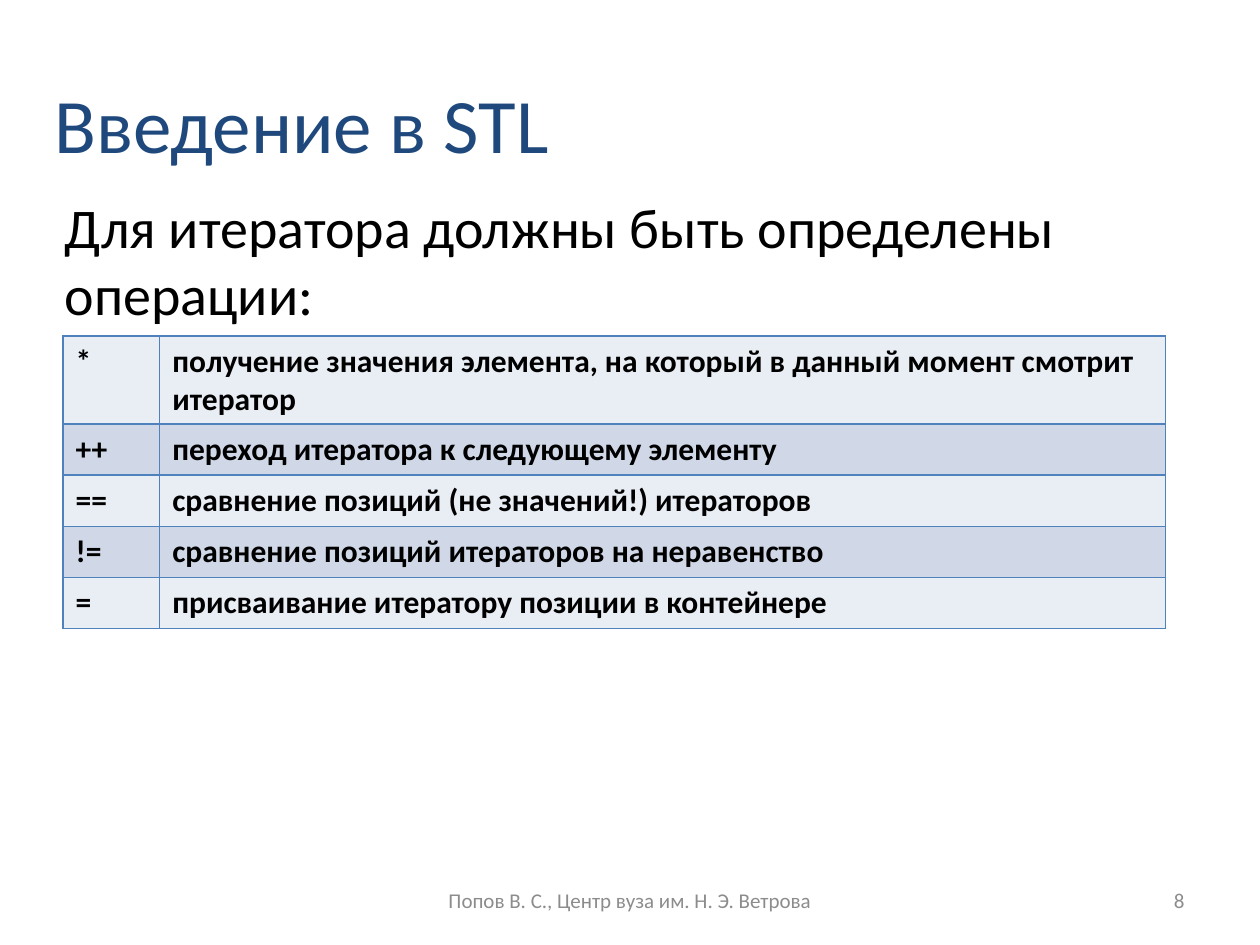
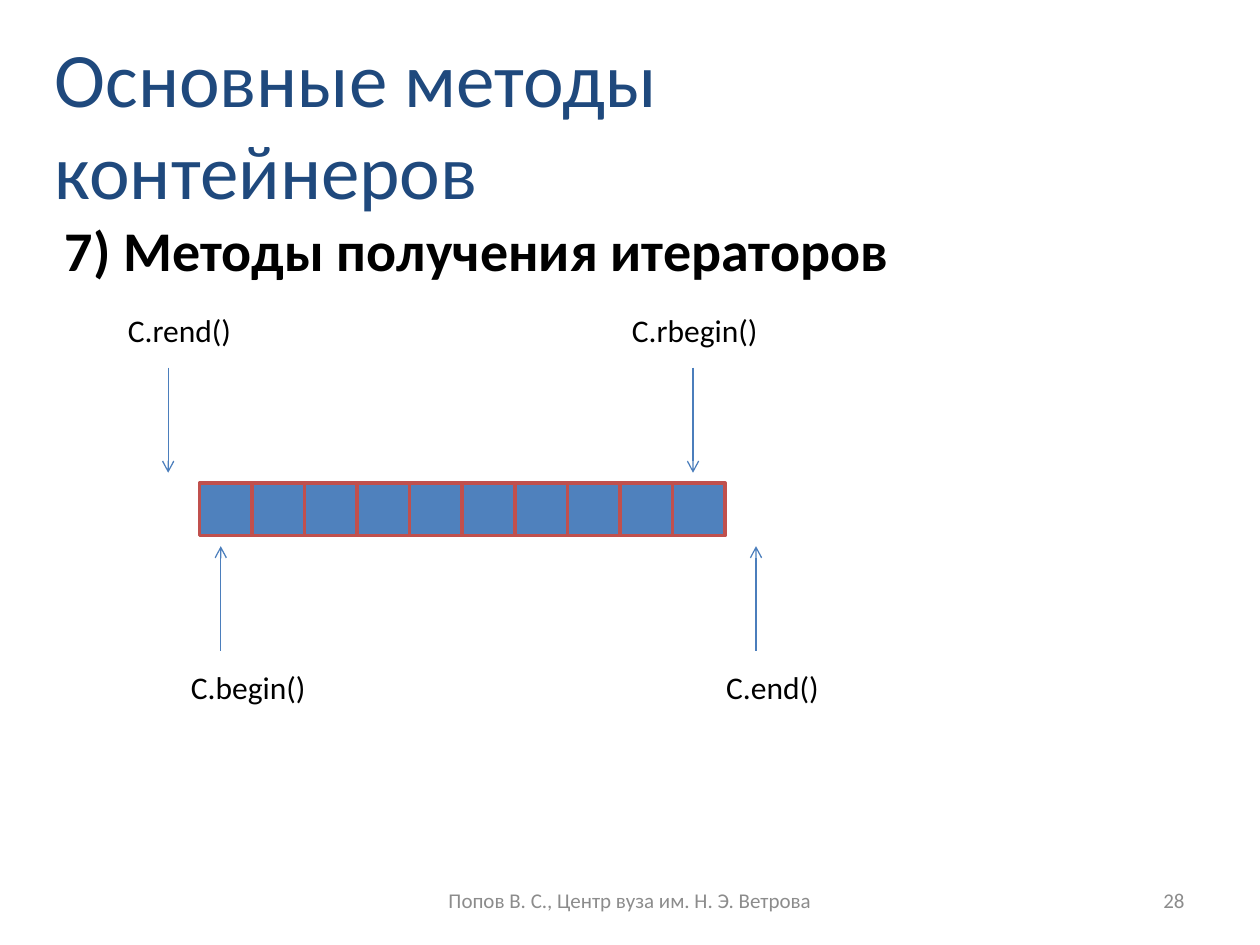
from dataclasses import dataclass

from lxml import etree
from pptx import Presentation
from pptx.dml.color import RGBColor
from pptx.enum.shapes import MSO_CONNECTOR, MSO_SHAPE
from pptx.enum.text import MSO_ANCHOR, PP_ALIGN
from pptx.oxml.ns import qn
from pptx.slide import Slide
from pptx.util import Cm, Pt

LEFT, CENTER, RIGHT = PP_ALIGN.LEFT, PP_ALIGN.CENTER, PP_ALIGN.RIGHT
TOP, MIDDLE = MSO_ANCHOR.TOP, MSO_ANCHOR.MIDDLE
RECTANGLE, STRAIGHT = MSO_SHAPE.RECTANGLE, MSO_CONNECTOR.STRAIGHT
TITLE_ONLY = 5

COLORS = {
    "title": "1F497D",
    "text": "000000",
    "footer": "8C8C8C",
    "blue": "4F81BD",
    "arrow": "4B7EBC",
    "red": "C0504D",
    "row_light": "E9EDF4",
    "row_dark": "D0D8E8",
}
FORMATS = {
    "title": {"size": Pt(44), "bold": False},
    "lead": {"size": Pt(32), "bold": False},
    "lead_bold": {"size": Pt(32), "bold": True},
    "label": {"size": Pt(18), "bold": False},
    "cell": {"size": Pt(18), "bold": True},
    "footer": {"size": Pt(12), "bold": False},
}
FOOTER = "Попов В. С., Центр вуза им. Н. Э. Ветрова"

OPERATIONS = [
    ("*", "получение значения элемента, на который в данный момент смотрит итератор"),
    ("++", "переход итератора к следующему элементу"),
    ("==", "сравнение позиций (не значений!) итераторов"),
    ("!=", "сравнение позиций итераторов на неравенство"),
    ("=", "присваивание итератору позиции в контейнере"),
]
COLUMN_WIDTHS = (1.95, 20.27)
FIRST_ROW_HEIGHT, ROW_HEIGHT = 1.78, 1.03

CELL_COUNT, CELL_SIDE = 10, 1.06
CELLS_LEFT, CELLS_TOP = 4.02, 9.74


@dataclass(frozen=True)
class Area:
    """Left, top, width and height in centimetres."""
    left: float
    top: float
    width: float
    height: float

    def lengths(self) -> list[Cm]:
        return [Cm(v) for v in (self.left, self.top, self.width, self.height)]


@dataclass(frozen=True)
class IteratorMark:
    method: str
    label: Area
    arrow_x: float
    arrow_from: float
    arrow_to: float


TITLE_AREA = Area(0.85, 0.42, 20.74, 4.1)
FOOTER_AREA = Area(8.68, 17.65, 8.04, 1.01)
NUMBER_AREA = Area(18.2, 17.65, 5.93, 1.01)

ABOVE = {"arrow_from": 7.41, "arrow_to": 9.53}
BELOW = {"arrow_from": 13.12, "arrow_to": 11.01}
MARKS = [
    IteratorMark("C.end()", Area(14.39, 13.34, 2.54, 1.03), 15.24, **BELOW),
    IteratorMark("C.begin()", Area(3.6, 13.34, 2.96, 1.03), 4.45, **BELOW),
    IteratorMark("C.rbegin()", Area(12.49, 6.14, 3.39, 1.03), 13.97, **ABOVE),
    IteratorMark("C.rend()", Area(2.33, 6.14, 2.75, 1.03), 3.39, **ABOVE),
]


def rgb(name: str) -> RGBColor:
    return RGBColor.from_string(COLORS[name])


def write(frame, text: str, style: str, color: str = "text", align=LEFT) -> None:
    para = frame.paragraphs[0]
    para.alignment = align
    span = para.add_run()
    span.text = text
    span.font.name = "Calibri"
    span.font.color.rgb = rgb(color)
    for attribute, value in FORMATS[style].items():
        setattr(span.font, attribute, value)


def add_text(page: Slide, area: Area, text: str, style: str,
             color: str = "text", align=LEFT, anchor=TOP) -> None:
    frame = page.shapes.add_textbox(*area.lengths()).text_frame
    frame.word_wrap = True
    frame.vertical_anchor = anchor
    write(frame, text, style, color, align)


def add_page(deck, title: str, number: int) -> Slide:
    """Add a slide with its title, footer and slide number."""
    page = deck.slides.add_slide(deck.slide_layouts[TITLE_ONLY])
    heading = page.shapes.title
    heading.left, heading.top, heading.width, heading.height = TITLE_AREA.lengths()
    heading.text_frame.vertical_anchor = MIDDLE
    write(heading.text_frame, title, "title", "title")
    add_text(page, NUMBER_AREA, str(number), "footer", "footer", RIGHT, MIDDLE)
    add_text(page, FOOTER_AREA, FOOTER, "footer", "footer", CENTER, MIDDLE)
    return page


def set_borders(cell, color: str, width: Pt) -> None:
    properties = cell._tc.get_or_add_tcPr()
    for side in ("a:lnL", "a:lnR", "a:lnT", "a:lnB"):
        line = etree.SubElement(properties, qn(side), w=str(int(width)))
        fill = etree.SubElement(line, qn("a:solidFill"))
        etree.SubElement(fill, qn("a:srgbClr"), val=COLORS[color])


def add_operations_table(page: Slide) -> None:
    heights = [FIRST_ROW_HEIGHT] + [ROW_HEIGHT] * (len(OPERATIONS) - 1)
    area = Area(1.27, 6.77, sum(COLUMN_WIDTHS), sum(heights))
    table = page.shapes.add_table(
        len(OPERATIONS), len(COLUMN_WIDTHS), *area.lengths()).table
    table.first_row = False
    for column, width in zip(table.columns, COLUMN_WIDTHS):
        column.width = Cm(width)
    for index, (row, height) in enumerate(zip(table.rows, heights)):
        row.height = Cm(height)
        for cell, text in zip(row.cells, OPERATIONS[index]):
            set_borders(cell, "blue", Pt(1))
            cell.fill.solid()
            cell.fill.fore_color.rgb = rgb("row_dark" if index % 2 else "row_light")
            write(cell.text_frame, text, "cell")


def add_container(page: Slide) -> None:
    """Draw the container as a row of adjoining cells."""
    for index in range(CELL_COUNT):
        area = Area(CELLS_LEFT + index * CELL_SIDE, CELLS_TOP, CELL_SIDE, CELL_SIDE)
        box = page.shapes.add_shape(RECTANGLE, *area.lengths())
        box.shadow.inherit = False
        box.fill.solid()
        box.fill.fore_color.rgb = rgb("blue")
        box.line.color.rgb = rgb("red")
        box.line.width = Pt(2)


def add_mark(page: Slide, mark: IteratorMark) -> None:
    """Draw an iterator arrow and its method label."""
    x = Cm(mark.arrow_x)
    arrow = page.shapes.add_connector(
        STRAIGHT, x, Cm(mark.arrow_from), x, Cm(mark.arrow_to))
    arrow.line.color.rgb = rgb("arrow")
    arrow.line.width = Pt(0.75)
    properties = arrow.element.spPr
    etree.SubElement(properties.find(qn("a:ln")), qn("a:tailEnd"), type="arrow")
    etree.SubElement(properties, qn("a:effectLst"))
    add_text(page, mark.label, mark.method, "label")


def build_operations_page(deck) -> None:
    page = add_page(deck, "Введение в STL", 8)
    add_text(page, Area(1.06, 3.76, 23.71, 2.99),
             "Для итератора должны быть определены операции:", "lead")
    add_operations_table(page)


def build_iterators_page(deck) -> None:
    page = add_page(deck, "Основные методы контейнеров", 28)
    add_text(page, Area(1.06, 4.23, 23.71, 1.62),
             "7) Методы получения итераторов", "lead_bold")
    add_container(page)
    for mark in MARKS:
        add_mark(page, mark)


def main() -> None:
    deck = Presentation()
    deck.slide_width, deck.slide_height = Cm(25.4), Cm(19.05)
    build_operations_page(deck)
    build_iterators_page(deck)
    deck.save("out.pptx")


if __name__ == "__main__":
    main()
